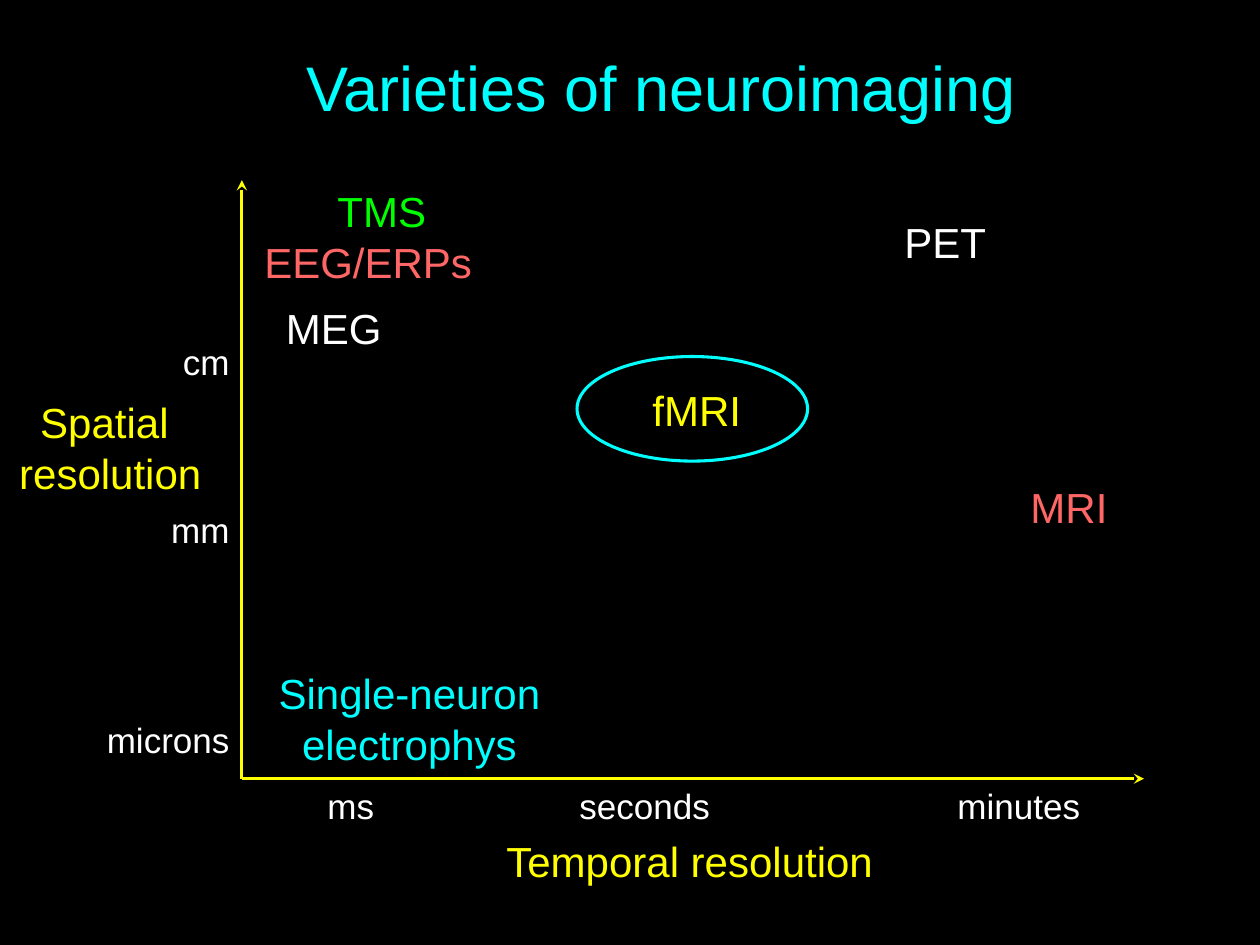
from lxml import etree
from pptx import Presentation
from pptx.dml.color import RGBColor
from pptx.enum.shapes import MSO_CONNECTOR, MSO_SHAPE
from pptx.enum.text import MSO_ANCHOR, PP_ALIGN
from pptx.oxml.ns import qn
from pptx.util import Inches, Pt

LEFT, CENTER, RIGHT = PP_ALIGN.LEFT, PP_ALIGN.CENTER, PP_ALIGN.RIGHT
TOP, MIDDLE = MSO_ANCHOR.TOP, MSO_ANCHOR.MIDDLE
STRAIGHT = MSO_CONNECTOR.STRAIGHT
OVAL = MSO_SHAPE.OVAL

BLACK, WHITE, CYAN = "000000", "FFFFFF", "00FFFF"
YELLOW, GREEN, CORAL = "FFFF00", "00FF00", "FF6666"
FONT = "Arial"
LINE_HEIGHT = 1.2
LINE_WIDTH = Pt(1.75)


def color(value):
    return RGBColor.from_string(value)


def add_tab_stops(para, stops):
    tab_list = etree.SubElement(para._p.get_or_add_pPr(), qn("a:tabLst"))
    for stop in stops:
        etree.SubElement(tab_list, qn("a:tab"), pos=str(Inches(stop)), algn="l")


def add_text(page, text, box, size=24, fill=WHITE, align=LEFT, anchor=TOP, tabs=(), gaps=()):
    frame = page.shapes.add_textbox(*map(Inches, box)).text_frame
    frame.word_wrap = True
    frame.vertical_anchor = anchor
    for index, line in enumerate(text.split("\n")):
        para = frame.add_paragraph() if index else frame.paragraphs[0]
        if tabs:
            add_tab_stops(para, tabs)
        para.alignment = align
        para.line_spacing = Pt(size * LINE_HEIGHT)
        if index and gaps:
            para.space_before = Pt(gaps[index - 1] * size * LINE_HEIGHT)
        span = para.add_run()
        span.text = line
        span.font.name = FONT
        span.font.size = Pt(size)
        span.font.color.rgb = color(fill)


def add_arrow(page, start, end):
    arrow = page.shapes.add_connector(STRAIGHT, *map(Inches, start + end))
    arrow.line.color.rgb = color(YELLOW)
    arrow.line.width = LINE_WIDTH
    etree.SubElement(arrow.line._get_or_add_ln(), qn("a:tailEnd"), type="stealth")
    etree.SubElement(arrow._element.spPr, qn("a:effectLst"))


def add_axes(page, box):
    left, top, width, height = box
    bottom = top + height
    origin = (left, bottom)
    add_arrow(page, origin, (left, top))
    add_arrow(page, origin, (left + width, bottom))
    add_text(page, "ms\tseconds\tminutes", (left + 0.58, bottom, 6.95, 0.44),
             size=20, tabs=(2, 5))
    add_text(page, "cm\nmm\nmicrons", (left - 1.25, top + 1.22, 1.25, 3.44),
             size=20, align=RIGHT, gaps=(3, 4))
    add_text(page, "Temporal resolution", (left + 2, bottom + 0.4, 3.42, 0.5), fill=YELLOW)
    add_text(page, "Spatial \nresolution", (left - 1.92, top + 1.67, 1.75, 0.9),
             fill=YELLOW, align=CENTER)


def add_methods(page, box):
    left, top = box[:2]
    methods = (
        ("fMRI", 3.16, 1.57, 1.08, YELLOW),
        ("MRI", 6.16, 2.34, 0.83, CORAL),
        ("MEG", 0.25, 0.92, 1.25, WHITE),
        ("PET", 5.16, 0.24, 1.17, WHITE),
        ("EEG/ERPs", 0.08, 0.4, 2, CORAL),
        ("TMS", 0.66, -0.01, 1.17, GREEN),
    )
    for name, across, down, width, fill in methods:
        add_text(page, name, (left + across, top + down, width, 0.5), fill=fill)
    add_text(page, "Single-neuron\nelectrophys", (left - 0.17, top + 3.82, 3, 0.9),
             fill=CYAN, align=CENTER)
    ring_box = (left + 2.66, top + 1.4, 1.83, 0.83)
    ring = page.shapes.add_shape(OVAL, *map(Inches, ring_box))
    ring.shadow.inherit = False
    ring.fill.background()
    ring.line.color.rgb = color(CYAN)
    ring.line.width = LINE_WIDTH


def main():
    deck = Presentation()
    deck.slide_width, deck.slide_height = Inches(10), Inches(7.5)
    page = deck.slides.add_slide(deck.slide_layouts[6])
    page.background.fill.solid()
    page.background.fill.fore_color.rgb = color(BLACK)
    add_text(page, "Varieties of neuroimaging", (1, 0.27, 8.5, 0.83),
             size=36, fill=CYAN, align=CENTER, anchor=MIDDLE)
    plot_box = (1.92, 1.43, 7.16, 4.75)
    add_axes(page, plot_box)
    add_methods(page, plot_box)
    deck.save("out.pptx")


if __name__ == "__main__":
    main()
